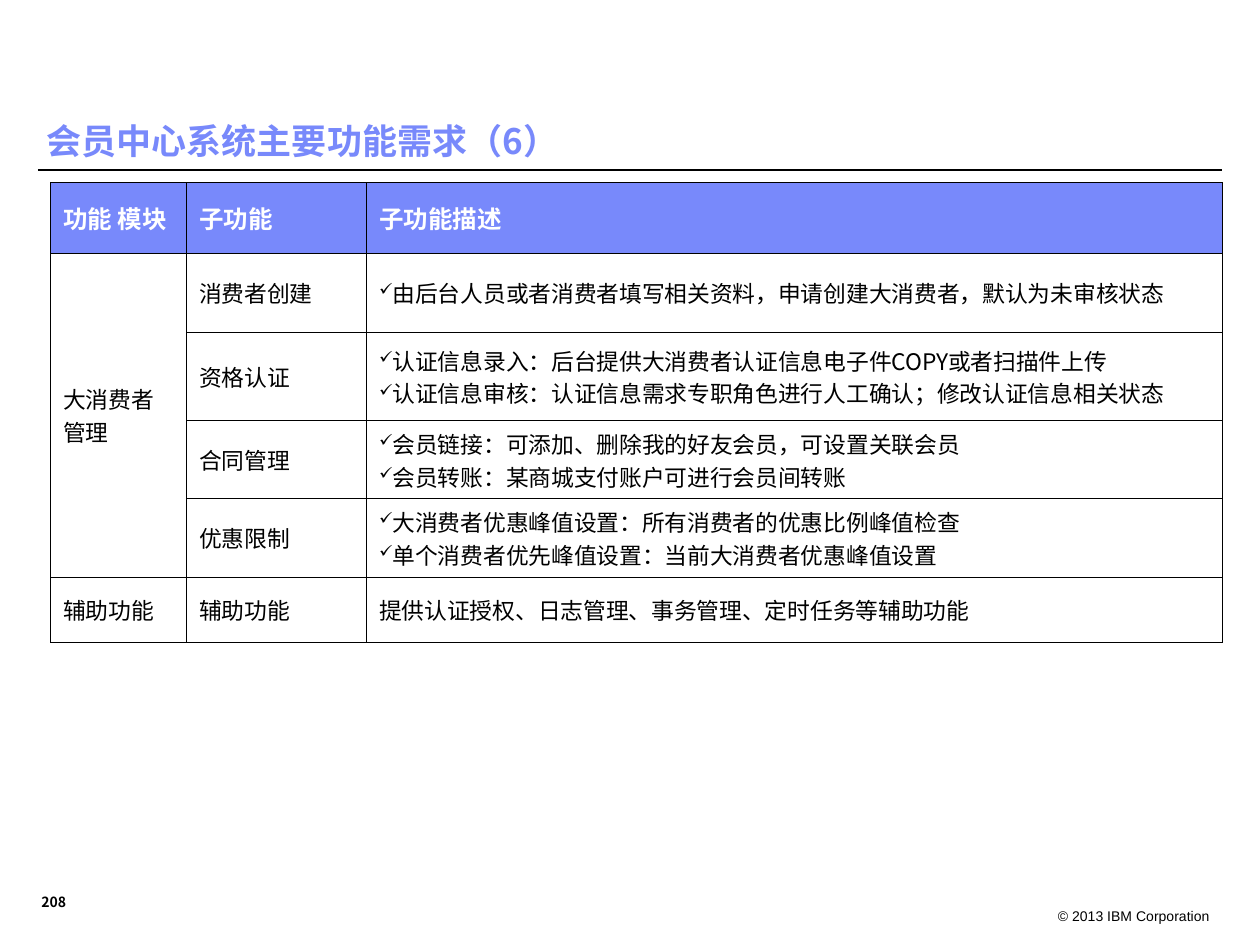
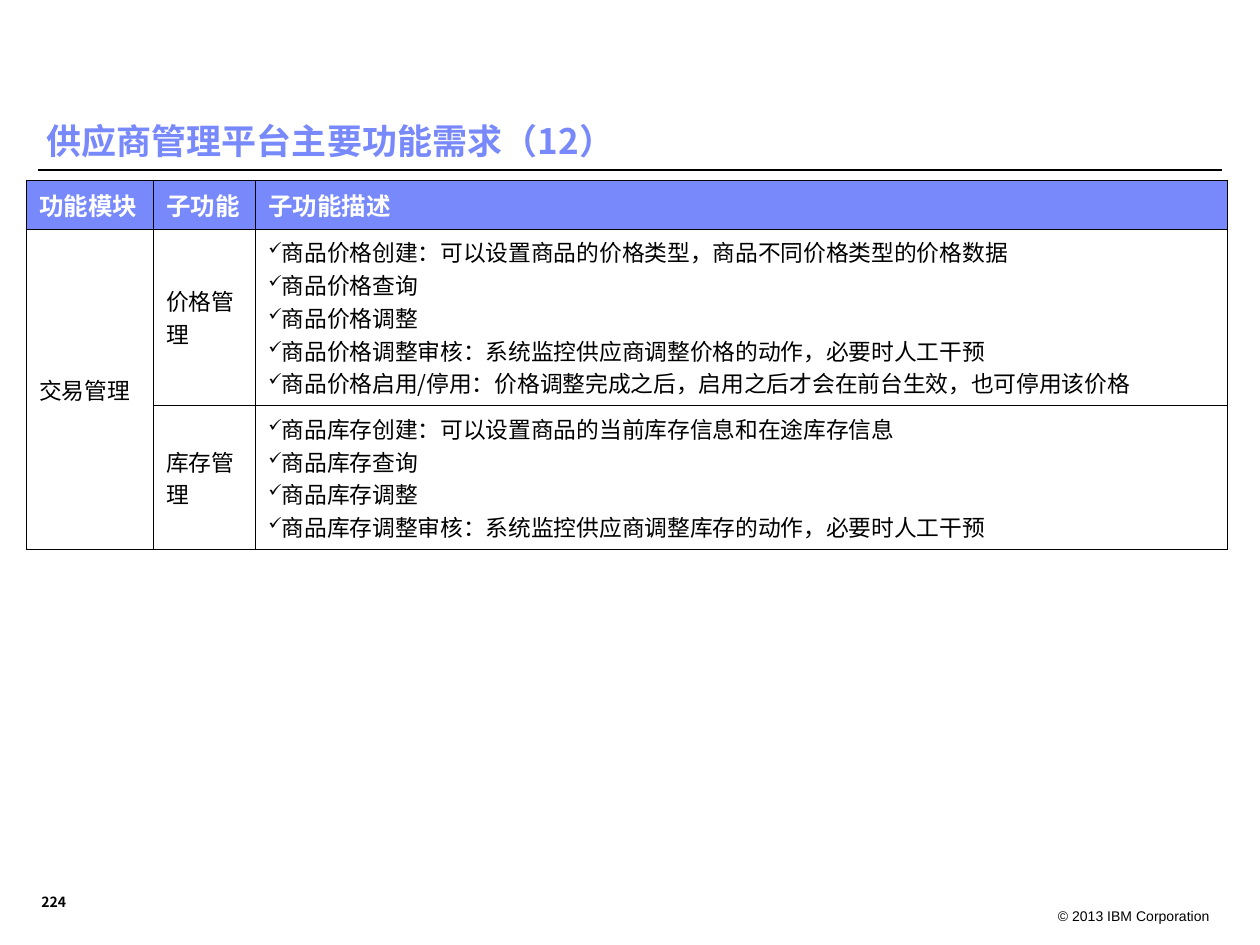
from lxml import etree
from pptx import Presentation
from pptx.dml.color import RGBColor
from pptx.enum.shapes import MSO_CONNECTOR
from pptx.enum.text import MSO_ANCHOR, MSO_AUTO_SIZE, PP_ALIGN
from pptx.oxml.ns import qn
from pptx.util import Inches, Pt

LEFT, RIGHT = PP_ALIGN.LEFT, PP_ALIGN.RIGHT
TOP, MID, LOW = MSO_ANCHOR.TOP, MSO_ANCHOR.MIDDLE, MSO_ANCHOR.BOTTOM
NO_FIT = MSO_AUTO_SIZE.NONE
STRAIGHT = MSO_CONNECTOR.STRAIGHT

# Shared style
BLUE, BLACK, WHITE = "7889FB", "000000", "FFFFFF"
SANS, ARIAL = "Noto Sans CJK SC", "Arial"
WIDE, HIGH = 10, 7.5
COLS, ROWS = 100, 75  # layout grid
RIGHTS = "© 2013 IBM Corporation"
HEAD = ["子功能", "子功能描述"]


def color(code):
    return RGBColor.from_string(code)


def add(parent, tag, **attrs):
    return etree.SubElement(parent, qn(tag), attrs)


class Deck:
    def __init__(self):
        self.prs = Presentation()
        self.prs.slide_width = Inches(WIDE)
        self.prs.slide_height = Inches(HIGH)
        self.slide = None

    def x(self, col):
        return Inches(WIDE * col / COLS)

    def y(self, row):
        return Inches(HIGH * row / ROWS)

    def box(self, left, top, width, height):
        return self.x(left), self.y(top), self.x(width), self.y(height)

    def style(self, para, size, tint=BLACK, bold=False, face=SANS, align=LEFT):
        para.alignment = align
        font = para.font
        font.size, font.bold, font.name = Pt(size), bold, face
        font.color.rgb = color(tint)
        # East Asian text takes its face from a separate element
        add(para._p.pPr.find(qn("a:defRPr")), "a:ea", typeface=face)

    def title(self, text):
        shape = self.slide.shapes.title
        shape.left, shape.top, shape.width, shape.height = self.box(2.7, 8.5, 95, 4.9)
        frame = shape.text_frame
        frame.text, frame.vertical_anchor = text, LOW
        frame.word_wrap, frame.auto_size = True, NO_FIT
        frame.paragraphs[0].line_spacing = 0.9
        self.style(frame.paragraphs[0], 20, BLUE, True)

    def text(self, text, place, anchor, **look):
        frame = self.slide.shapes.add_textbox(*self.box(*place)).text_frame
        frame.text, frame.vertical_anchor = text, anchor
        frame.word_wrap = True
        self.style(frame.paragraphs[0], 8, **look)

    def rule(self, left, right, row):
        line = self.slide.shapes.add_connector(
            STRAIGHT, self.x(left), self.y(row), self.x(right), self.y(row))
        line.line.color.rgb = color(BLACK)
        line.line.width = Pt(0.75)
        add(line._element.spPr, "a:effectLst")

    def page(self, title, number):
        self.slide = self.prs.slides.add_slide(self.prs.slide_layouts[5])
        self.title(title)
        self.rule(3, 97, 13.5)
        self.text(RIGHTS, (82, 71.5, 15, 2), TOP, face=ARIAL, align=RIGHT)
        self.text(number, (2.3, 70.3, 4.4, 2.4), LOW, bold=True)

    def tick(self, para):
        props = para._p.get_or_add_pPr()
        props.set("marL", "0")
        props.set("indent", "0")
        add(add(props, "a:buClr"), "a:srgbClr", val=BLACK)
        add(props, "a:buSzPct", val="75000")
        add(props, "a:buChar", char="✓")

    def cell(self, cell, text, head):
        cell.vertical_anchor = MID
        props = cell._tc.get_or_add_tcPr()
        for side in ("L", "R", "T", "B"):
            edge = add(props, "a:ln" + side, w=str(Pt(0.5)))
            add(add(edge, "a:solidFill"), "a:srgbClr", val=BLACK)
        if head:
            cell.fill.solid()
            cell.fill.fore_color.rgb = color(BLUE)
        else:
            cell.fill.background()
        # A list becomes ticked lines, a string stays plain
        ticked = isinstance(text, list)
        cell.text = "\n".join(text) if ticked else text
        for para in cell.text_frame.paragraphs:
            if ticked:
                self.tick(para)
            self.style(para, 14 if head else 13, WHITE if head else BLACK, head)

    def table(self, left, top, widths, heights, rows, span):
        place = self.box(left, top, sum(widths), sum(heights))
        grid = self.slide.shapes.add_table(len(rows), len(widths), *place).table
        grid.first_row = grid.horz_banding = False
        for col, width in zip(grid.columns, widths):
            col.width = self.x(width)
        for row, height in zip(grid.rows, heights):
            row.height = self.y(height)
        for r, row in enumerate(rows):
            for c, text in enumerate(row):
                self.cell(grid.cell(r, c), text, r == 0)
        grid.cell(1, 0).merge(grid.cell(span, 0))


def main():
    deck = Deck()

    # Member centre
    deck.page("会员中心系统主要功能需求（6）", "208")
    deck.table(4, 14.5, [10.8, 14.3, 67.9], [5.6, 6.3, 7, 6.2, 6.2, 5.2], [
        ["功能 模块", *HEAD],
        ["大消费者管理", "消费者创建",
         ["由后台人员或者消费者填写相关资料，申请创建大消费者，默认为未审核状态"]],
        ["", "资格认证",
         ["认证信息录入：后台提供大消费者认证信息电子件COPY或者扫描件上传",
          "认证信息审核：认证信息需求专职角色进行人工确认；修改认证信息相关状态"]],
        ["", "合同管理",
         ["会员链接：可添加、删除我的好友会员，可设置关联会员",
          "会员转账：某商城支付账户可进行会员间转账"]],
        ["", "优惠限制",
         ["大消费者优惠峰值设置：所有消费者的优惠比例峰值检查",
          "单个消费者优先峰值设置：当前大消费者优惠峰值设置"]],
        ["辅助功能", "辅助功能",
         "提供认证授权、日志管理、事务管理、定时任务等辅助功能"],
    ], span=4)

    # Supplier platform
    deck.page("供应商管理平台主要功能需求（12）", "224")
    deck.table(2.1, 14.3, [10.1, 8.1, 77.1], [3.9, 14, 11.4], [
        ["功能模块", *HEAD],
        ["交易管理", "价格管理",
         ["商品价格创建：可以设置商品的价格类型，商品不同价格类型的价格数据",
          "商品价格查询",
          "商品价格调整",
          "商品价格调整审核：系统监控供应商调整价格的动作，必要时人工干预",
          "商品价格启用/停用：价格调整完成之后，启用之后才会在前台生效，也可停用该价格"]],
        ["", "库存管理",
         ["商品库存创建：可以设置商品的当前库存信息和在途库存信息",
          "商品库存查询",
          "商品库存调整",
          "商品库存调整审核：系统监控供应商调整库存的动作，必要时人工干预"]],
    ], span=2)

    deck.prs.save("out.pptx")


if __name__ == "__main__":
    main()
